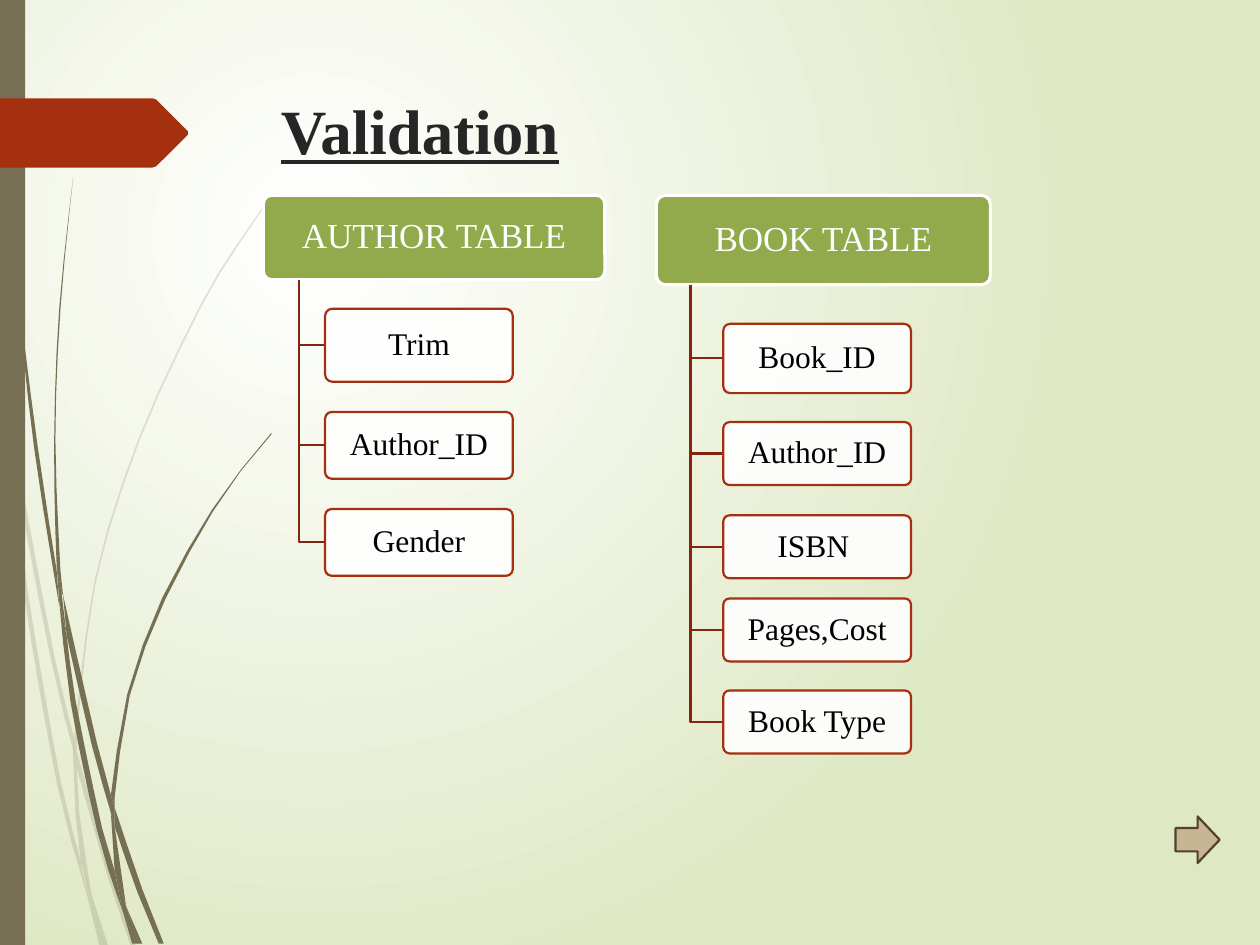
import math

from pptx import Presentation, util as u
from pptx.dml.color import RGBColor
from pptx.enum import shapes, text
from pptx.oxml import parse_xml
from pptx.oxml.ns import nsdecls
from lxml import etree

OLIVE = RGBColor(0x76, 0x6F, 0x54)
RUST = RGBColor(0xA5, 0x30, 0x10)
DARK_RUST = RGBColor(0x84, 0x26, 0x0D)
GREEN = RGBColor(0x92, 0xAA, 0x4C)
TAN = RGBColor(0xC8, 0xB5, 0x94)
BROWN = RGBColor(0x50, 0x42, 0x28)
CHARCOAL = RGBColor(0x26, 0x26, 0x26)
WHITE = RGBColor(0xFF, 0xFF, 0xFF)
BLACK = RGBColor(0, 0, 0)
FONT = "Times New Roman"

deck = Presentation()
deck.slide_width, deck.slide_height = u.Inches(10), u.Inches(7.5)
page = deck.slides.add_slide(deck.slide_layouts[6])


def paint(shape, fill=None, line=None, width=1.25, opacity=100):
    shape.shadow.inherit = False
    if fill is None:
        shape.fill.background()
    else:
        shape.fill.solid()
        shape.fill.fore_color.rgb = fill
        if opacity < 100:
            color = shape.element.spPr.xpath("a:solidFill/a:srgbClr")[0]
            alpha = etree.SubElement(color, color.tag.replace("srgbClr", "alpha"))
            alpha.set("val", str(opacity * 1000))
    if line is None:
        shape.line.fill.background()
    else:
        shape.line.color.rgb = line
        shape.line.width = u.Pt(width)


def outline(points, close=True):
    corners = [(u.Inches(x), u.Inches(y)) for x, y in points]
    builder = page.shapes.build_freeform(*corners[0])
    builder.add_line_segments(corners[1:], close=close)
    return builder.convert_to_shape()


# Radial background
page.element.cSld.insert(0, parse_xml(
    f'<p:bg {nsdecls("p", "a")}><p:bgPr><a:gradFill rotWithShape="1"><a:gsLst>'
    '<a:gs pos="0"><a:srgbClr val="FFFFFF"/></a:gs>'
    '<a:gs pos="100000"><a:srgbClr val="DFE8C4"/></a:gs></a:gsLst>'
    '<a:path path="circle"><a:fillToRect l="50000" t="50000" r="100000" b="100000"/></a:path>'
    '</a:gradFill><a:effectLst/></p:bgPr></p:bg>'))

# Grass blades: each one is an edge out and an edge back, curved through its knots
pale_blades = [
    ([(.08, 3.5), (.06, 3.22), (0, 2.82)], [(0, 2.99), (.07, 3.44)]),
    ([(.1, 3.45), (.43, 5.2), (.59, 5.86)], [(.59, 5.99), (.4, 5.22), (.12, 3.76)]),
    ([(.61, 5.96), (.64, 6.07), (.88, 6.92), (1.08, 7.51)],
     [(1.04, 7.51), (.85, 6.94), (.61, 6.1)]),
    ([(.73, 7.11), (.86, 7.51)], [(.83, 7.51)]),
    ([(.08, 3.5), (.12, 3.76), (.22, 4.69), (.48, 6.19), (.64, 6.83), (.7, 7.14)],
     [(.64, 6.93), (.45, 6.21), (.19, 4.7), (.08, 3.5)]),
    ([(.58, 5.99), (.6, 6.46), (.64, 6.83), (.73, 7.11)],
     [(.72, 7.06), (.63, 6.46), (.61, 6.1)]),
    ([(.61, 5.96), (.61, 5.84), (.76, 4.62), (1.11, 3.49), (1.59, 2.45),
      (1.87, 1.98), (2.17, 1.54)],
     [(2.17, 1.53), (1.86, 1.97), (1.58, 2.44), (1.1, 3.48),
      (.75, 4.61), (.59, 5.84)]),
    ([(.7, 7.14), (.79, 7.51)], [(.82, 7.51)]),
    ([(.61, 6.1), (.61, 5.96), (.59, 5.86)], [(.58, 5.99)]),
    ([(.65, 6.83), (.7, 7.14), (.82, 7.51)], [(.83, 7.51), (.73, 7.11), (.67, 6.92)]),
]
dark_blades = [
    ([(.02, 0), (.05, 1.1), (.14, 2.33), (.27, 3.55), (.47, 4.81)],
     [(.45, 4.53), (.3, 3.55), (.15, 2.32), (.06, 1.09), (.03, 0)]),
    ([(.5, 4.72), (.77, 5.9), (.88, 6.31)], [(.88, 6.45), (.73, 5.92), (.53, 5.05)]),
    ([(.91, 6.41), (1.13, 7.06), (1.3, 7.49)], [(1.26, 7.49), (1.09, 7.08), (.91, 6.56)]),
    ([(.47, 4.77), (.53, 5.05), (.6, 5.56), (.81, 6.57), (.91, 6.91), (.97, 7.22)],
     [(.92, 7.08), (.77, 6.59), (.56, 5.57), (.47, 4.77)]),
    ([(.5, 4.72), (.48, 4.53), (.44, 3.49), (.48, 2.45), (.58, 1.41)],
     [(.58, 1.41), (.47, 2.45), (.43, 3.49), (.45, 4.49), (.49, 4.72)]),
    ([(1, 7.19), (1.13, 7.49)], [(1.1, 7.49)]),
    ([(.45, 4.49), (.49, 4.72), (.53, 5.05)], [(.47, 4.77)]),
    ([(.91, 6.41), (.91, 6.33), (1.03, 5.52), (1.31, 4.76), (1.69, 4.06),
      (1.91, 3.74), (2.16, 3.44)],
     [(2.15, 3.44), (1.91, 3.73), (1.68, 4.05), (1.29, 4.74), (1.01, 5.51), (.88, 6.31)]),
    ([(.97, 7.22), (1.05, 7.49)], [(1.08, 7.49)]),
    ([(.88, 6.45), (.91, 6.91), (1, 7.19)], [(.91, 6.56)]),
    ([(.91, 6.56), (.91, 6.41), (.88, 6.31)], [(.88, 6.45)]),
    ([(.91, 6.91), (.97, 7.22), (1.08, 7.49)], [(1.1, 7.49), (1, 7.19), (.96, 7.06)]),
]
STEP_LENGTH = 0.5
for blades, opacity in ((pale_blades, 20), (dark_blades, 100)):
    for edges in blades:
        points = []
        for knots in edges:
            padded = [knots[0], *knots, knots[-1]]
            for a, b, c, d in zip(padded, padded[1:], padded[2:], padded[3:]):
                steps = math.ceil(math.dist(b, c) / STEP_LENGTH)
                for t in (step / steps for step in range(steps)):
                    # Catmull-Rom curve from b to c
                    points.append([
                        q + t * (r - p) / 2 + t**2 * (p - 2.5 * q + 2 * r - s / 2)
                        + t**3 * (3 * q - p - 3 * r + s) / 2
                        for p, q, r, s in zip(a, b, c, d)])
            points.append(knots[-1])
        paint(outline(points), OLIVE, opacity=opacity)

# Side bar and pointed tab
bar = page.shapes.add_shape(shapes.MSO_SHAPE.RECTANGLE, 0, 0, u.Inches(0.2), u.Inches(7.5))
paint(bar, OLIVE)
tab = outline([(0, .78), (1.21, .78), (1.24, .79), (1.49, 1.04), (1.49, 1.07),
               (1.24, 1.32), (1.21, 1.33), (0, 1.33)])
paint(tab, RUST)

# Title
title = page.shapes.add_textbox(u.Inches(2.13), u.Inches(0.68), u.Inches(7.21), u.Inches(1.4))
title.text_frame.word_wrap = True
title.text_frame.text = "Validation"
font = title.text_frame.paragraphs[0].runs[0].font
font.name, font.size, font.bold, font.underline = FONT, u.Pt(36), True, True
font.color.rgb = CHARCOAL

# Next arrow
arrow = page.shapes.add_shape(shapes.MSO_SHAPE.RIGHT_ARROW, u.Inches(9.33), u.Inches(6.48),
                              u.Inches(0.35), u.Inches(0.37))
paint(arrow, TAN, BROWN)

# Field trees: heading, left, width, height, trunk x, field left, fields (name, top, height)
HEAD_TOP, FIELD_WIDTH = 1.55, 1.49
trees = [
    ("AUTHOR TABLE", 2.09, 2.71, 0.67, 2.37, 2.58,
     [("Trim", 2.45, 0.58), ("Author_ID", 3.27, 0.53), ("Gender", 4.04, 0.53)]),
    ("BOOK TABLE", 5.21, 2.65, 0.71, 5.48, 5.74,
     [("Book_ID", 2.57, 0.55), ("Author_ID", 3.35, 0.5), ("ISBN ", 4.09, 0.5),
      ("Pages,Cost", 4.75, 0.5), ("Book Type", 5.48, 0.5)]),
]
for heading, left, width, height, trunk, field_left, fields in trees:
    nodes = [(heading, left, HEAD_TOP, width, height)]
    nodes += [(name, field_left, top, FIELD_WIDTH, tall) for name, top, tall in fields]
    for index, (name, x, y, wide, tall) in enumerate(nodes):
        if index:
            middle = y + tall / 2
            branch = outline([(trunk, HEAD_TOP + height), (trunk, middle), (x, middle)], close=False)
            paint(branch, line=DARK_RUST)
        box = page.shapes.add_shape(shapes.MSO_SHAPE.ROUNDED_RECTANGLE, u.Inches(x), u.Inches(y),
                                    u.Inches(wide), u.Inches(tall))
        box.adjustments[0] = 0.1
        if index:
            paint(box, WHITE, RUST, opacity=90)
        else:
            paint(box, GREEN, WHITE, 1.75)
        frame = box.text_frame
        frame.word_wrap = True
        frame.vertical_anchor = text.MSO_ANCHOR.MIDDLE
        frame.margin_left = frame.margin_right = u.Inches(0.04)
        frame.margin_top = frame.margin_bottom = u.Inches(0.03)
        frame.text = name
        para = frame.paragraphs[0]
        para.alignment = text.PP_ALIGN.CENTER
        para.line_spacing = 0.9
        font = para.runs[0].font
        font.name, font.size = FONT, u.Pt(18 if index else 20)
        font.color.rgb = BLACK if index else WHITE

deck.save("out.pptx")
